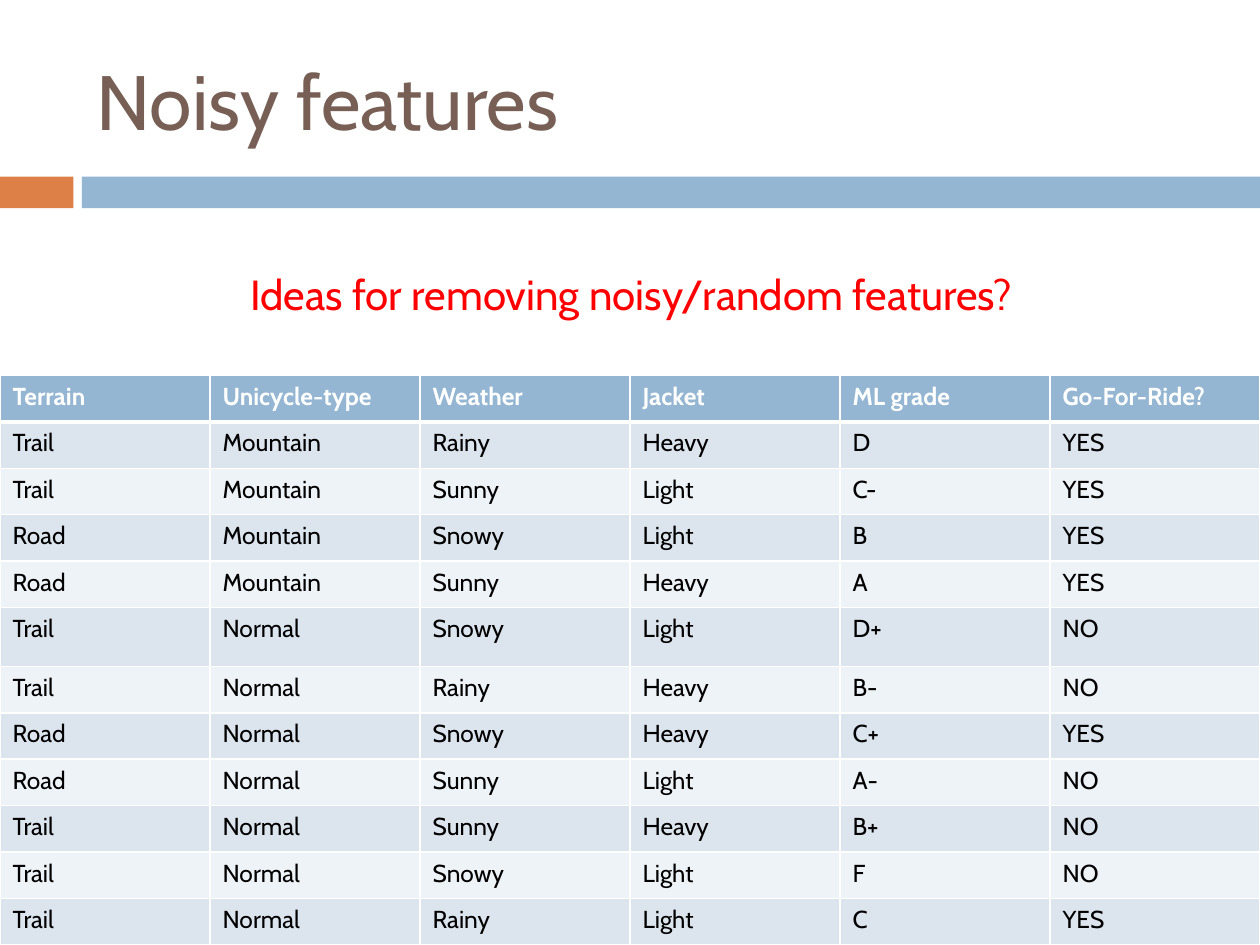
from lxml.etree import SubElement
from pptx import Presentation
from pptx.dml.color import RGBColor
from pptx.enum.shapes import MSO_SHAPE
from pptx.enum.text import MSO_ANCHOR
from pptx.oxml.ns import qn
from pptx.util import Cm, Pt

COLORS = {
    "title": "775F55", "accent": "DD8047", "header": "94B6D2",
    "odd": "DCE5EE", "even": "EEF3F7", "question": "FF0000",
    "white": "FFFFFF", "black": "000000",
}
WIDTH, HEIGHT = 25.4, 19.05
TABLE_HEIGHT = 11.48
TALL_ROW, TALL_HEIGHT = 5, 1.19

ROWS = [
    ["Terrain", "Unicycle-type", "Weather", "Jacket", "ML grade", "Go-For-Ride?"],
    ["Trail", "Mountain", "Rainy", "Heavy", "D", "YES"],
    ["Trail", "Mountain", "Sunny", "Light", "C-", "YES"],
    ["Road", "Mountain", "Snowy", "Light", "B", "YES"],
    ["Road", "Mountain", "Sunny", "Heavy", "A", "YES"],
    ["Trail", "Normal", "Snowy", "Light", "D+", "NO"],
    ["Trail", "Normal", "Rainy", "Heavy", "B-", "NO"],
    ["Road", "Normal", "Snowy", "Heavy", "C+", "YES"],
    ["Road", "Normal", "Sunny", "Light", "A-", "NO"],
    ["Trail", "Normal", "Sunny", "Heavy", "B+", "NO"],
    ["Trail", "Normal", "Snowy", "Light", "F", "NO"],
    ["Trail", "Normal", "Rainy", "Light", "C", "YES"],
]


class Deck:
    """Hold the style and the current slide, and add elements to it."""

    font = "Cabin"

    def __init__(self, prs):
        self.s = prs.slides.add_slide(prs.slide_layouts[6])

    def color(self, name):
        return RGBColor.from_string(COLORS[name])

    def set_text(self, tf, text, size, color, bold=False):
        tf.text = text
        p = tf.paragraphs[0]
        f = p.runs[0].font
        f.name, f.size, f.bold = self.font, Pt(size), bold
        f.color.rgb = self.color(color)
        return p

    def bar(self, x, y, w, h, color):
        sp = self.s.shapes.add_shape(MSO_SHAPE.RECTANGLE, Cm(x), Cm(y), Cm(w), Cm(h))
        sp.shadow.inherit = False
        sp.fill.solid()
        sp.fill.fore_color.rgb = self.color(color)
        sp.line.fill.background()

    def text(self, x, y, w, h, text, size, color, anchor=MSO_ANCHOR.TOP, before=0):
        tf = self.s.shapes.add_textbox(Cm(x), Cm(y), Cm(w), Cm(h)).text_frame
        tf.word_wrap = True
        tf.vertical_anchor = anchor
        self.set_text(tf, text, size, color).space_before = Pt(before)

    def borders(self, cell, top, bottom):
        tcPr = cell._tc.get_or_add_tcPr()
        for side, width in (("L", 1), ("R", 1), ("T", top), ("B", bottom)):
            ln = SubElement(tcPr, qn(f"a:ln{side}"), w=str(Pt(width)))
            fill = SubElement(ln, qn("a:solidFill"))
            SubElement(fill, qn("a:srgbClr"), val=COLORS["white"])

    def table(self, x, y, w, h, rows):
        n, m = len(rows), len(rows[0])
        tbl = self.s.shapes.add_table(n, m, Cm(x), Cm(y), Cm(w), Cm(h)).table
        for col in tbl.columns:
            col.width = Cm(w / m)
        for i, values in enumerate(rows):
            tbl.rows[i].height = Cm(TALL_HEIGHT if i == TALL_ROW else (h - TALL_HEIGHT) / (n - 1))
            head = i == 0
            fill = "header" if head else "odd" if i % 2 else "even"
            for j, value in enumerate(values):
                cell = tbl.cell(i, j)
                self.set_text(cell.text_frame, value, 14, "white" if head else "black", head)
                self.borders(cell, 3 if i == 1 else 1, 3 if head else 1)
                cell.fill.solid()
                cell.fill.fore_color.rgb = self.color(fill)


def main():
    prs = Presentation()
    prs.slide_width, prs.slide_height = Cm(WIDTH), Cm(HEIGHT)
    deck = Deck(prs)
    deck.bar(0, 3.56, 1.48, 0.64, "accent")
    deck.bar(1.65, 3.56, WIDTH - 1.65, 0.64, "header")
    deck.text(1.7, 0.64, 22.65, 2.74, "Noisy features", 44, "title", MSO_ANCHOR.MIDDLE)
    deck.text(4.8, 5.28, 16.23, 2.57, "Ideas for removing noisy/random features?",
              24, "question", before=7)
    deck.table(0, HEIGHT - TABLE_HEIGHT, WIDTH, TABLE_HEIGHT, ROWS)
    prs.save("out.pptx")


if __name__ == "__main__":
    main()
